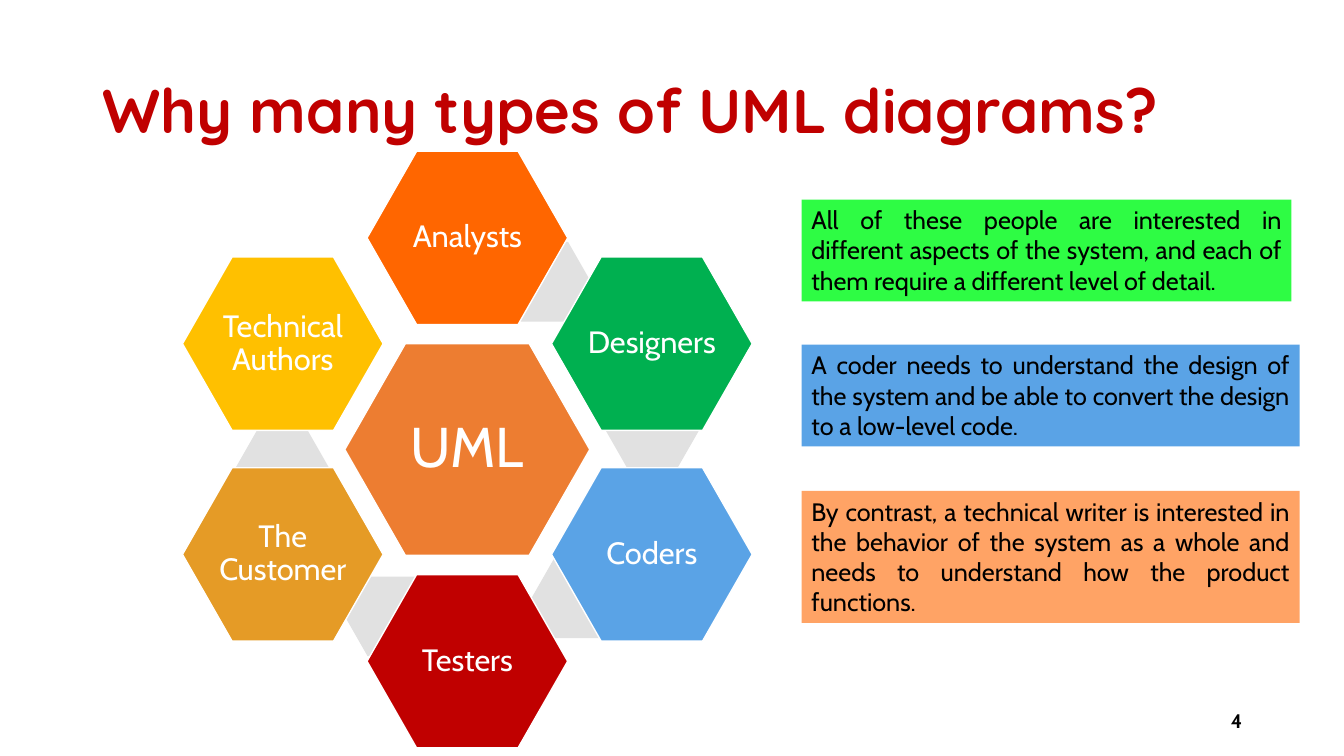
"""Builds the slide on why UML has many types of diagrams."""
from pptx import Presentation
from pptx.dml.color import RGBColor
from pptx.enum.shapes import MSO_SHAPE as Shape
from pptx.enum.text import MSO_ANCHOR as Anchor, PP_ALIGN as Align
from pptx.util import Inches, Pt

COLORS = {
    "red": "C00000", "black": "000000", "white": "FFFFFF", "gray": "E1E1E1",
    "rust": "ED7D31", "orange": "FF6600", "green": "00B050", "blue": "5AA3E6",
    "ochre": "E59B26", "yellow": "FFC000", "lime": "2EFC44", "peach": "FFA365",
}


def add_box(kind, box, fill=None, outline=None):
    """Adds a preset shape, or a text box when kind is None."""
    box = [Inches(length) for length in box]
    if kind is None:
        return slide.shapes.add_textbox(*box)
    shape = slide.shapes.add_shape(kind, *box)
    shape.shadow.inherit = False
    shape.fill.solid()
    shape.fill.fore_color.rgb = RGBColor.from_string(COLORS[fill])
    if outline:
        shape.line.color.rgb = RGBColor.from_string(COLORS[outline])
        shape.line.width = Pt(1)
    else:
        shape.line.fill.background()
    if kind == Shape.HEXAGON:
        shape.adjustments[0] = 0.286
    return shape


def write(shape, text, size, color, align, font="Cabin", bold=False,
          spacing=1.0, anchor=Anchor.MIDDLE, inset=None):
    """Sets the text of a shape as one formatted paragraph."""
    frame = shape.text_frame
    frame.word_wrap = True
    frame.vertical_anchor = anchor
    if inset is not None:
        frame.margin_left = frame.margin_right = Inches(inset)
        frame.margin_top = frame.margin_bottom = Inches(inset)
    paragraph = frame.paragraphs[0]
    paragraph.text = text
    paragraph.alignment = align
    paragraph.line_spacing = spacing
    paragraph.font.name = font
    paragraph.font.size = Pt(size)
    paragraph.font.bold = bold
    paragraph.font.color.rgb = RGBColor.from_string(COLORS[color])


presentation = Presentation()
presentation.slide_width = Inches(13.33)
presentation.slide_height = Inches(7.5)
slide = presentation.slides.add_slide(presentation.slide_layouts[6])

title = add_box(None, (0.92, 0.4, 11.5, 1.45))
write(title, "Why many types of UML diagrams?", 44, "red", Align.LEFT,
      font="Quicksand", bold=True, spacing=0.9)
page_number = add_box(None, (9.42, 6.95, 3, 0.4))
write(page_number, "4", 14, "black", Align.RIGHT, bold=True)

center = add_box(Shape.HEXAGON, (3.42, 3.41, 2.43, 2.1), "rust", "white")
write(center, "UML", 40, "white", Align.CENTER, spacing=0.9, inset=0.06)

left, middle, right = 1.81, 3.64, 5.47
roles = [
    ("Analysts", "orange", middle, 1.5, (4.94, 2.4)),
    ("Designers", "green", right, 2.55, (6.01, 3.88)),
    ("Coders", "blue", right, 4.64, (5.27, 5.54)),
    ("Testers", "red", middle, 5.7, (3.42, 5.72)),
    ("The Customer", "ochre", left, 4.64, (2.34, 4.24)),
    ("Technical Authors", "yellow", left, 2.55, None),
]
for role, color, x, y, link in roles:
    if link:
        add_box(Shape.HEXAGON, (*link, 0.92, 0.79), "gray")
    hexagon = add_box(Shape.HEXAGON, (x, y, 1.99, 1.72), color, "white")
    write(hexagon, role, 22, "white", Align.CENTER, spacing=0.9, inset=0.03)

notes = [
    ("All of these people are interested in different aspects of the system, "
     "and each of them require a different level of detail.",
     "lime", 1.98, 4.86, 1.01),
    ("A coder needs to understand the design of the system and be able to "
     "convert the design to a low-level code.", "blue", 3.42, 4.94, 1.01),
    ("By contrast, a technical writer is interested in the behavior of the "
     "system as a whole and needs to understand how the product functions.",
     "peach", 4.87, 4.94, 1.31),
]
for text, color, top, width, height in notes:
    note = add_box(Shape.RECTANGLE, (7.95, top, width, height), color)
    write(note, text, 18, "black", Align.JUSTIFY, anchor=Anchor.TOP)

presentation.save("out.pptx")
